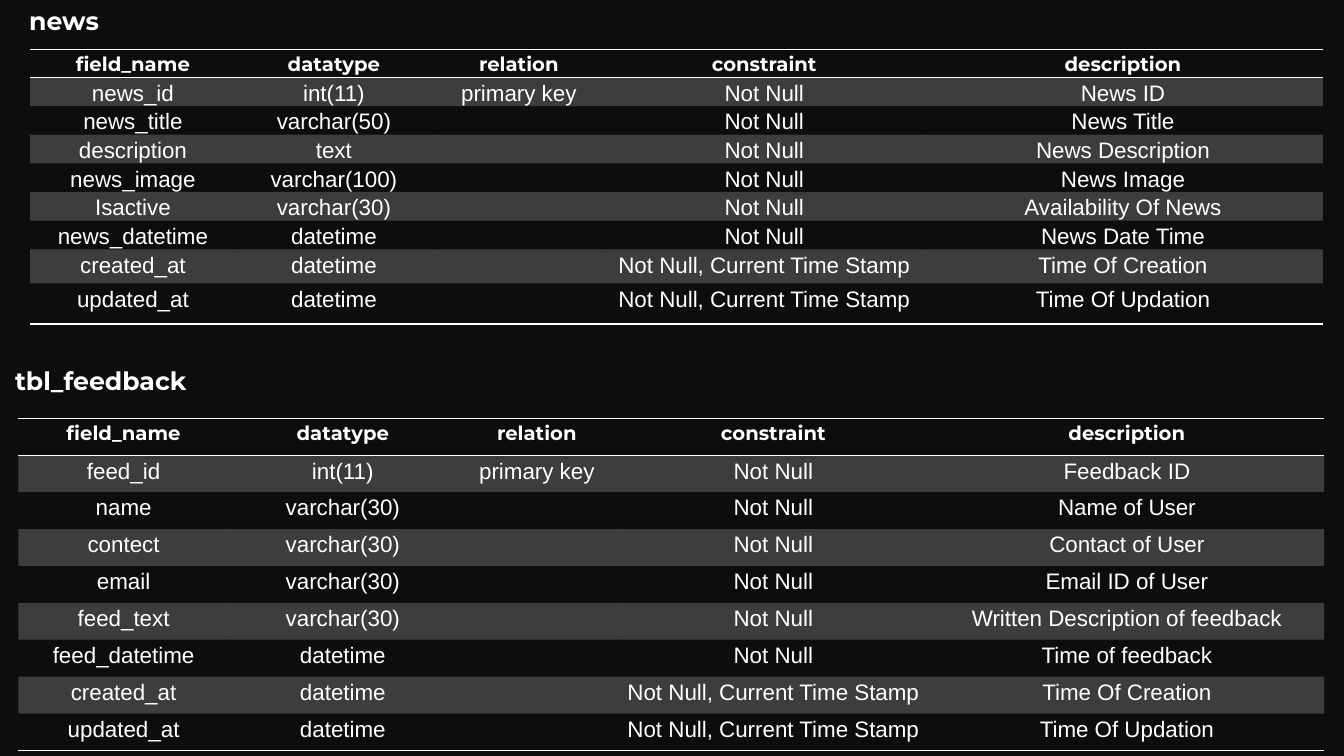
from lxml.etree import SubElement
from pptx import Presentation
from pptx.dml.color import RGBColor
from pptx.enum.text import MSO_ANCHOR, MSO_AUTO_SIZE, PP_ALIGN
from pptx.oxml.ns import qn
from pptx.util import Cm, Pt

BLACK = RGBColor(0x0D, 0x0D, 0x0D)
WHITE = RGBColor(0xFF, 0xFF, 0xFF)
BAND_ALPHA = 20
PLAIN_TABLE_STYLE = "{2D5ABB26-0587-4C30-8999-92F81FD0307C}"

COLUMNS = ("field_name", "datatype", "relation", "constraint", "description")
REQUIRED = "Not Null"
STAMPED = "Not Null, Current Time Stamp"
TIMESTAMPS = [
    ("created_at", "datetime", "", STAMPED, "Time Of Creation"),
    ("updated_at", "datetime", "", STAMPED, "Time Of Updation"),
]

NEWS = {
    "heading": "news",
    "heading_box": (0.48, 0, 2.36, 1.02),
    "corner": (0.76, 1.24),
    "height": 7.24,
    "widths": (5.18, 4.95, 4.37, 8, 10.08),
    "row_heights": [0.71] * 7 + [0.86, 1.02],
    "fields": [
        ("news_id", "int(11)", "primary key", REQUIRED, "News ID"),
        ("news_title", "varchar(50)", "", REQUIRED, "News Title"),
        ("description", "text", "", REQUIRED, "News Description"),
        ("news_image", "varchar(100)", "", REQUIRED, "News Image"),
        ("Isactive", "varchar(30)", "", REQUIRED, "Availability Of News"),
        ("news_datetime", "datetime", "", REQUIRED, "News Date Time"),
    ] + TIMESTAMPS,
}
FEEDBACK = {
    "heading": "tbl_feedback",
    "heading_box": (0.13, 9.09, 4.98, 1.02),
    "corner": (0.46, 10.54),
    "height": 8.36,
    "widths": (5.31, 5.74, 4.04, 7.88, 9.94),
    "row_heights": [0.93] * 9,
    "fields": [
        ("feed_id", "int(11)", "primary key", REQUIRED, "Feedback ID"),
        ("name", "varchar(30)", "", REQUIRED, "Name of User"),
        ("contect", "varchar(30)", "", REQUIRED, "Contact of User"),
        ("email", "varchar(30)", "", REQUIRED, "Email ID of User"),
        ("feed_text", "varchar(30)", "", REQUIRED, "Written Description of feedback"),
        ("feed_datetime", "datetime", "", REQUIRED, "Time of feedback"),
    ] + TIMESTAMPS,
}


def write(frame, text, size, font="Arial", bold=False, align=PP_ALIGN.LEFT,
          line_spacing=None, space_after=None):
    paragraph = frame.paragraphs[0]
    paragraph.alignment = align
    paragraph.line_spacing = line_spacing
    paragraph.space_after = space_after
    if not text:
        # Keeps an empty cell from making its row taller.
        SubElement(paragraph._p, qn("a:endParaRPr"), sz=str(size * 100))
        return
    run = paragraph.add_run()
    run.text = text
    run.font.size = Pt(size)
    run.font.name = font
    run.font.bold = bold
    run.font.color.rgb = WHITE


def add_border(cell, side):
    line = SubElement(cell._tc.get_or_add_tcPr(), qn(f"a:{side}"), w=str(Pt(1)))
    fill = SubElement(line, qn("a:solidFill"))
    SubElement(fill, qn("a:srgbClr"), val=str(WHITE))


def fill_band(cell):
    cell.fill.solid()
    cell.fill.fore_color.rgb = WHITE
    color = cell._tc.tcPr.find(qn("a:solidFill")).find(qn("a:srgbClr"))
    SubElement(color, qn("a:alpha"), val=str(BAND_ALPHA * 1000))


def add_heading(box, entity):
    box.left, box.top, box.width, box.height = map(Cm, entity["heading_box"])
    frame = box.text_frame
    frame.word_wrap = False
    frame.auto_size = MSO_AUTO_SIZE.NONE
    frame.vertical_anchor = MSO_ANCHOR.TOP
    write(frame, entity["heading"], 18, font="Montserrat", bold=True)


def add_field_table(slide, entity):
    rows = [COLUMNS] + entity["fields"]
    left, top = map(Cm, entity["corner"])
    holder = slide.shapes.add_table(len(rows), len(COLUMNS), left, top,
                                    Cm(sum(entity["widths"])), Cm(entity["height"]))
    table = holder.table
    table.horz_banding = False
    table._tbl.tblPr.find(qn("a:tableStyleId")).text = PLAIN_TABLE_STYLE
    for column, width in zip(table.columns, entity["widths"]):
        column.width = Cm(width)
    for row, height in zip(table.rows, entity["row_heights"]):
        row.height = Cm(height)
    holder.height = Cm(entity["height"])

    last = len(rows) - 1
    for r, values in enumerate(rows):
        look = {"size": 16}
        if r == 0:
            look = {"size": 14, "font": "Montserrat", "bold": True}
        for c, value in enumerate(values):
            cell = table.cell(r, c)
            cell.margin_left = cell.margin_right = Cm(0.18)
            cell.margin_top = cell.margin_bottom = 0
            write(cell.text_frame, value, align=PP_ALIGN.CENTER,
                  line_spacing=1.15, space_after=Pt(10), **look)
            if r == 0:
                add_border(cell, "lnT")
            if r in (0, last):
                add_border(cell, "lnB")
            if r % 2:
                fill_band(cell)
            else:
                cell.fill.background()


def main():
    deck = Presentation()
    deck.slide_width, deck.slide_height = Cm(33.87), Cm(19.05)
    slide = deck.slides.add_slide(deck.slide_layouts[5])
    slide.background.fill.solid()
    slide.background.fill.fore_color.rgb = BLACK

    add_heading(slide.shapes.title, NEWS)
    add_field_table(slide, NEWS)
    add_heading(slide.shapes.add_textbox(0, 0, 0, 0), FEEDBACK)
    add_field_table(slide, FEEDBACK)
    deck.save("out.pptx")


if __name__ == "__main__":
    main()
